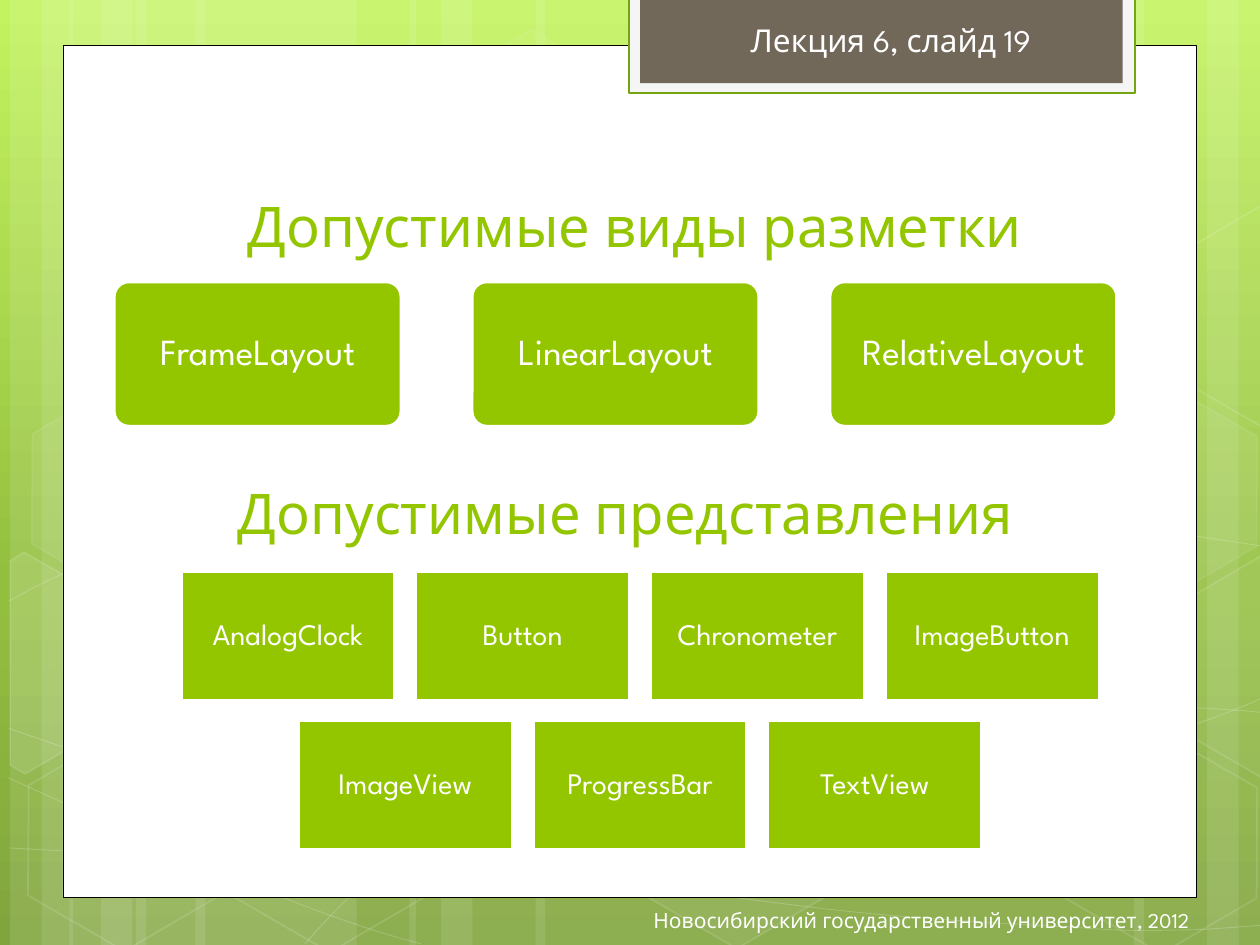
import math

from lxml import etree
from pptx import Presentation
from pptx.dml.color import RGBColor
from pptx.enum import shapes, text
from pptx.oxml import ns
from pptx.util import Inches, Pt

COLORS = {
    "white": "FFFFFF", "black": "000000", "green": "94C600", "rim": "74A510",
    "tab": "71685A", "tab_rim": "F5F5F5",
    "sky": "C3F35F", "meadow": "93BF3F", "moss": "81A53E",
}
FONT = "League Spartan"
KIND = shapes.MSO_SHAPE
ALIGN = text.PP_ALIGN
ANCHOR = text.MSO_ANCHOR
TILT = 30

STRIPES = [
    (1.08, 1.75, 0), (0.08, 0.5, 0), (0.33, 0.83, 0), (1.55, 1.75, 0), (0.55, 0.5, 0),
    (0.8, 0.83, 0), (7.33, 1.75, 180), (9.58, 0.5, 180), (9, 0.83, 180), (4.25, 3.08, 0),
    (3.25, 0.5, 0), (3.5, 0.83, 0),
]
WAVES = [
    [(0.07, 6.73), (0.61, 6.76), (1.15, 6.79), (1.9, 6.78), (2.65, 6.77), (3.58, 6.75),
     (4.58, 6.65), (5.58, 6.55), (7, 6.36), (7.92, 6.17), (8.83, 5.98), (9.77, 5.68),
     (10.07, 5.51)],
    [(0.07, 4.77), (0.36, 4.61), (0.65, 4.46), (1.21, 4.31), (1.78, 4.16), (2.59, 3.94),
     (3.47, 3.87), (4.36, 3.8), (5.44, 3.79), (6.54, 3.87), (7.64, 3.95), (9.47, 4.26),
     (10.07, 4.34)],
    [(0.06, 6.17), (1.27, 6.72), (2.47, 7.27), (3.34, 7.49)],
    [(0.07, 5.78), (0.38, 5.89), (0.7, 6), (1.28, 6.16), (1.86, 6.31), (2.73, 6.56),
     (3.57, 6.73), (4.4, 6.9), (5.45, 7.08), (6.28, 7.18), (7.11, 7.29), (8, 7.33),
     (8.53, 7.36), (9.05, 7.4), (9.19, 7.38), (9.45, 7.38), (9.71, 7.37), (9.89, 7.35),
     (10.07, 7.34)],
    [(2.42, 7.49), (2.6, 7.29), (2.78, 7.09), (3.02, 6.91), (3.26, 6.73), (3.6, 6.53),
     (3.88, 6.39), (4.16, 6.25), (4.33, 6.19), (4.7, 6.09), (5.06, 5.99), (5.73, 5.85),
     (6.08, 5.78), (6.44, 5.71), (6.49, 5.71), (6.8, 5.69), (7.11, 5.66), (7.6, 5.63),
     (7.94, 5.62), (8.29, 5.61), (8.86, 5.62), (8.86, 5.62), (9.08, 5.62), (9.31, 5.62),
     (9.53, 5.62), (9.71, 5.63), (9.88, 5.64), (9.97, 5.65), (10.06, 5.66), (10.03, 5.65),
     (10.06, 5.66)],
]
HEXAGONS = [
    (3.34, 0.36, 4, 8), (4.97, 5.89, 6, 12), (0.11, 5.91, 0, 12), (0.14, 3.12, 7, 8),
    (1.74, 5.92, 0, 12), (7.53, 4.53, 10, 12), (8.34, 5.93, 0, 12), (8.34, 3.14, 7, 8),
]
CUT_HEXAGONS = [
    ((0.36, 5.35), 10,
     [(0.08, 4.45), (0.19, 4.38), (0.96, 4.82), (0.95, 5.7), (0.2, 6.14), (0.08, 6.07)]),
    ((9.85, 5.2), 4,
     [(9.26, 4.85), (10.01, 4.41), (10.09, 4.46), (10.09, 6.13), (10.02, 6.17), (9.26, 5.73)]),
    ((9.85, 2.41), 0,
     [(9.26, 2.07), (10.01, 1.63), (10.1, 1.68), (10.09, 3.35), (10.02, 3.39), (9.26, 2.95)]),
]
LAYOUTS = [["FrameLayout", "LinearLayout", "RelativeLayout"]]
VIEWS = [["AnalogClock", "Button", "Chronometer", "ImageButton"],
         ["ImageView", "ProgressBar", "TextView"]]


def rgb(name):
    return RGBColor.from_string(COLORS[name])


def set_alpha(paint, percent):
    color = paint._xPr.find(".//" + ns.qn("a:srgbClr"))
    etree.SubElement(color, ns.qn("a:alpha"), val=str(percent * 1000))


def paint_shape(shape, fill=None, line=None, width=1, fill_alpha=100, line_alpha=100):
    shape.shadow.inherit = False
    if fill and fill_alpha:
        shape.fill.solid()
        shape.fill.fore_color.rgb = rgb(fill)
        if fill_alpha < 100:
            set_alpha(shape.fill, fill_alpha)
    else:
        shape.fill.background()
    if line:
        shape.line.width = Pt(width)
        shape.line.color.rgb = rgb(line)
        if line_alpha < 100:
            set_alpha(shape.line.fill, line_alpha)
    else:
        shape.line.fill.background()


def add_block(slide, kind, box, **paint):
    block = slide.shapes.add_shape(kind, *map(Inches, box))
    paint_shape(block, **paint)
    return block


def write(frame, words, size, color, align, anchor=ANCHOR.TOP, wrap=True):
    frame.text = words
    frame.word_wrap = wrap
    frame.vertical_anchor = anchor
    line = frame.paragraphs[0]
    line.alignment = align
    font = line.runs[0].font
    font.name, font.size, font.color.rgb = FONT, Pt(size), rgb(color)


def add_label(slide, box, words, size, color, align, anchor=ANCHOR.TOP, wrap=True):
    label = slide.shapes.add_textbox(*map(Inches, box))
    write(label.text_frame, words, size, color, align, anchor, wrap)


def add_outline(slide, points, close, **paint):
    corners = [(Inches(x), Inches(y)) for x, y in points]
    builder = slide.shapes.build_freeform(*corners[0])
    builder.add_line_segments(corners[1:], close=close)
    outline = builder.convert_to_shape()
    paint_shape(outline, **paint)
    return outline


def add_wave(slide, controls):
    wave = add_outline(slide, controls, False, line="white", width=0.5, line_alpha=20)
    steps = list(wave._element.iter(ns.qn("a:lnTo")))
    track = steps[0].getparent()
    for start in range(0, len(steps), 3):
        curve = etree.SubElement(track, ns.qn("a:cubicBezTo"))
        for step in steps[start:start + 3]:
            curve.append(step[0])
            track.remove(step)


def turn(point, center, degrees):
    angle = math.radians(degrees)
    x, y = point[0] - center[0], point[1] - center[1]
    return (center[0] + x * math.cos(angle) - y * math.sin(angle),
            center[1] + x * math.sin(angle) + y * math.cos(angle))


def set_background(slide):
    fill = slide.background.fill
    fill.gradient()
    gradient = slide.background._cSld.find(".//" + ns.qn("a:gradFill"))
    stops = gradient.find(ns.qn("a:gsLst"))
    for stop in list(stops):
        stops.remove(stop)
    for position, name in [(0, "sky"), (62, "meadow"), (100, "moss")]:
        stop = etree.SubElement(stops, ns.qn("a:gs"), pos=str(position * 1000))
        etree.SubElement(stop, ns.qn("a:srgbClr"), val=COLORS[name])
    direction = gradient.find(ns.qn("a:lin"))
    direction.set("ang", str(90 * 60000))
    direction.set("scaled", "0")


def add_backdrop(slide, height):
    set_background(slide)
    for left, width, rotation in STRIPES:
        stripe = add_block(slide, KIND.RECTANGLE, (left, 0, width, height),
                           fill="white", fill_alpha=10)
        stripe.rotation = rotation
    for controls in WAVES:
        add_wave(slide, controls)
    for left, top, fill_alpha, line_alpha in HEXAGONS:
        hexagon = add_block(slide, KIND.HEXAGON, (left, top, 1.75, 1.52), fill="white",
                            line="white", fill_alpha=fill_alpha, line_alpha=line_alpha)
        hexagon.adjustments[0] = 0.285
        hexagon.rotation = TILT
    for center, fill_alpha, points in CUT_HEXAGONS:
        upright = [turn(point, center, -TILT) for point in points]
        cut = add_outline(slide, upright, True, fill="white", line="white",
                          fill_alpha=fill_alpha, line_alpha=12)
        cut.rotation = TILT


def add_lecture_tab(slide, left, top, width, height):
    add_block(slide, KIND.RECTANGLE, (left, top, width, height),
              fill="tab_rim", line="rim", width=1.25)
    add_block(slide, KIND.RECTANGLE, (left + 0.09, top, width - 0.19, height - 0.08), fill="tab")
    add_label(slide, (left + 0.87, top + 0.14, 2.59, 0.4), "Лекция 6, слайд 19",
              18, "white", ALIGN.LEFT, wrap=False)


def add_tiles(slide, box, rows, tile_size, kind, size, inset):
    left, top, width, height = box
    tile_width, tile_height = tile_size
    columns = max(map(len, rows))
    step_x = (width - tile_width) / (columns - 1)
    step_y = (height - tile_height) / max(len(rows) - 1, 1)
    for row, names in enumerate(rows):
        row_left = left + (columns - len(names)) * step_x / 2
        for column, name in enumerate(names):
            place = (row_left + column * step_x, top + row * step_y, tile_width, tile_height)
            tile = add_block(slide, kind, place, fill="green", line="white", width=1.25)
            if kind == KIND.ROUNDED_RECTANGLE:
                tile.adjustments[0] = 0.1
            frame = tile.text_frame
            frame.margin_left = frame.margin_right = Inches(inset)
            frame.margin_top = frame.margin_bottom = Inches(inset)
            write(frame, name, size, "white", ALIGN.CENTER, ANCHOR.MIDDLE)
            frame.paragraphs[0].line_spacing = 0.9


def main():
    deck = Presentation()
    deck.slide_width, deck.slide_height = Inches(10), Inches(7.5)
    slide = deck.slides.add_slide(deck.slide_layouts[6])
    add_backdrop(slide, 7.5)
    add_block(slide, KIND.RECTANGLE, (0.5, 0.36, 9, 6.76), fill="white", line="black", width=0.5)
    add_lecture_tab(slide, 4.99, -0.02, 4.02, 0.76)
    add_label(slide, (0.75, 1.23, 8.58, 0.87), "Допустимые виды разметки",
              32, "green", ALIGN.CENTER, ANCHOR.BOTTOM)
    add_tiles(slide, (0.91, 2.24, 7.95, 1.14), LAYOUTS, (2.27, 1.14),
              KIND.ROUNDED_RECTANGLE, 21, 0.06)
    add_label(slide, (0.75, 3.51, 8.43, 0.87), "Допустимые представления",
              32, "green", ALIGN.CENTER, ANCHOR.BOTTOM)
    add_tiles(slide, (1.44, 4.54, 7.28, 2.2), VIEWS, (1.69, 1.02), KIND.RECTANGLE, 17, 0.07)
    add_label(slide, (3.11, 7.1, 6.43, 0.4), "Новосибирский государственный университет, 2012",
              12, "white", ALIGN.RIGHT, ANCHOR.MIDDLE)
    deck.save("out.pptx")


if __name__ == "__main__":
    main()
